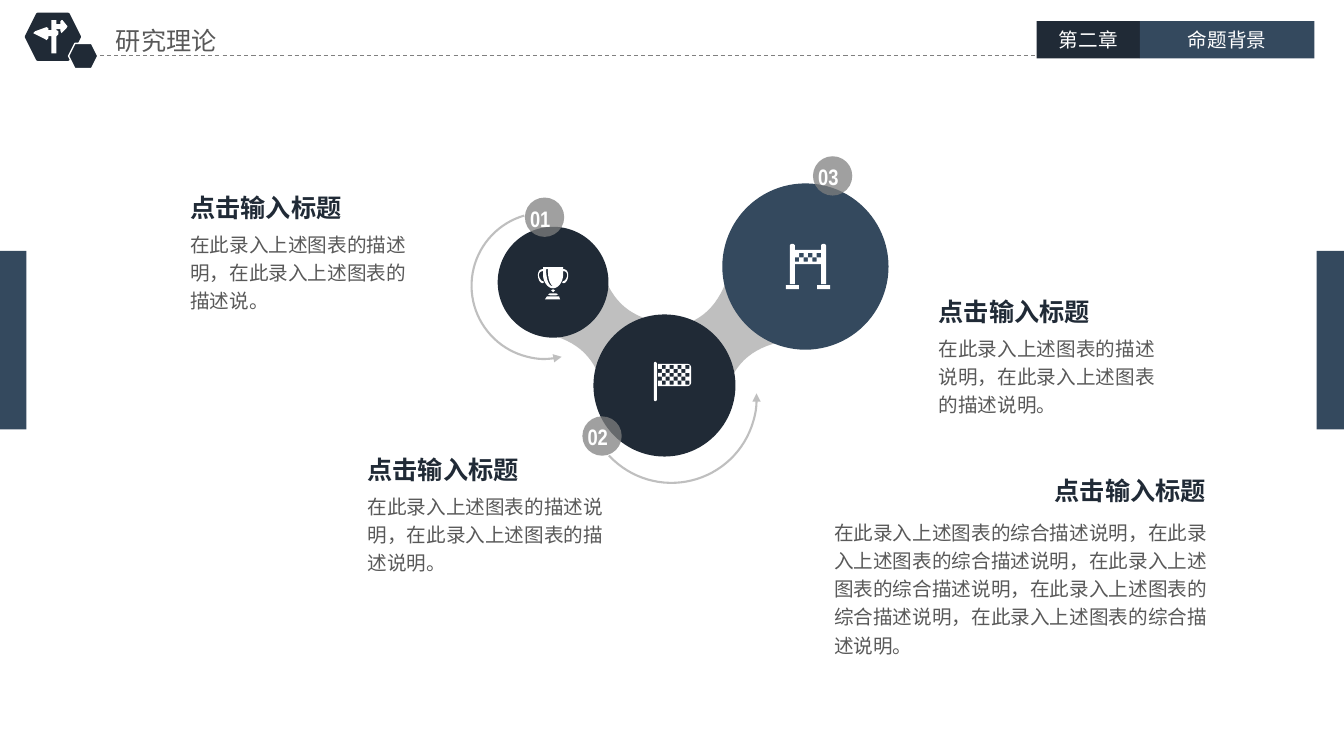
from dataclasses import dataclass

from lxml import etree
from pptx import Presentation
from pptx.dml.color import RGBColor
from pptx.enum.dml import MSO_LINE
from pptx.enum.shapes import MSO_CONNECTOR, MSO_SHAPE
from pptx.enum.text import MSO_ANCHOR, PP_ALIGN
from pptx.oxml.ns import qn
from pptx.util import Pt

RECT, OVAL = MSO_SHAPE.RECTANGLE, MSO_SHAPE.OVAL
HEXAGON, ARC = MSO_SHAPE.HEXAGON, MSO_SHAPE.ARC
STRAIGHT, DASH = MSO_CONNECTOR.STRAIGHT, MSO_LINE.DASH
TOP, MIDDLE = MSO_ANCHOR.TOP, MSO_ANCHOR.MIDDLE
LEFT, CENTER, RIGHT = PP_ALIGN.LEFT, PP_ALIGN.CENTER, PP_ALIGN.RIGHT


@dataclass(frozen=True)
class Theme:
    """Colours, fonts and type sizes."""
    navy: str = "202A36"
    blue: str = "34495E"
    ink: str = "595959"
    rule: str = "808080"
    badge: str = "7F7F7F"
    pale: str = "BFBFBF"
    white: str = "FFFFFF"
    face: str = "Noto Sans CJK SC"
    narrow: str = "Arial Narrow"
    head: int = 18
    num: int = 16
    body: int = 14


def trace(points):
    """Return a contour with each six-number cubic step turned into short lines."""
    out = []
    for step in points:
        if len(step) == 2:
            out.append(step)
            continue
        x, y = out[-1]
        a, b, c, d, e, f = step
        for i in range(1, 17):
            t = i / 16
            u = 1 - t
            k = (u**3, 3 * u * u * t, 3 * u * t * t, t**3)
            out.append((k[0] * x + k[1] * a + k[2] * c + k[3] * e,
                        k[0] * y + k[1] * b + k[2] * d + k[3] * f))
    return out


def box(left, top, right, bottom):
    """Return the corners of a rectangle."""
    return [(left, top), (right, top), (right, bottom), (left, bottom)]


def checks(cols, rows, left, top, size):
    """Return every other cell of a chequered grid."""
    return [box(left + c * size, top + r * size, left + (c + 1) * size, top + (r + 1) * size)
            for r in range(rows) for c in range(cols) if (r + c) % 2]


def mirror(points, width):
    """Return a contour flipped from left to right."""
    return [tuple(width - v if i % 2 == 0 else v for i, v in enumerate(p)) for p in points]


class Board:
    """Draws styled elements on one slide."""

    def __init__(self, slide, theme):
        self.shapes = slide.shapes
        self.theme = theme

    def paint(self, shape, fill, line=None, width=1):
        """Set fill and outline, without shadow."""
        shape.shadow.inherit = False
        if fill:
            shape.fill.solid()
            shape.fill.fore_color.rgb = RGBColor.from_string(fill)
        else:
            shape.fill.background()
        if line:
            shape.line.color.rgb = RGBColor.from_string(line)
            shape.line.width = Pt(width)
        else:
            shape.line.fill.background()
        return shape

    def shape(self, kind, x, y, w, h, fill, line=None, width=1):
        """Add a preset shape."""
        item = self.shapes.add_shape(kind, Pt(x), Pt(y), Pt(w), Pt(h))
        return self.paint(item, fill, line, width)

    def label(self, frame, text, size, color, bold=False, align=LEFT,
              face=None, anchor=TOP, space=None, pad=(7.2, 3.6)):
        """Fill a text frame with one paragraph."""
        face = face or self.theme.face
        frame.word_wrap = True
        frame.vertical_anchor = anchor
        frame.margin_left = frame.margin_right = Pt(pad[0])
        frame.margin_top = frame.margin_bottom = Pt(pad[1])
        para = frame.paragraphs[0]
        para.text = text
        para.alignment = align
        if space:
            para.line_spacing = space
        font = para.font
        font.size, font.bold, font.name = Pt(size), bold, face
        font.color.rgb = RGBColor.from_string(color)
        props = para._p.get_or_add_pPr().find(qn("a:defRPr"))
        etree.SubElement(props, qn("a:ea"), typeface=face)

    def text(self, x, y, w, h, *args, **style):
        """Add a text box."""
        item = self.shapes.add_textbox(Pt(x), Pt(y), Pt(w), Pt(h))
        self.label(item.text_frame, *args, **style)

    def tab(self, x, y, w, h, fill, text):
        """Add a header tab with a label."""
        item = self.shape(RECT, x, y, w, h, fill)
        self.label(item.text_frame, text, self.theme.body, self.theme.white,
                   align=CENTER, anchor=MIDDLE)

    def dash(self, x, y, end):
        """Add a level dashed line."""
        item = self.shapes.add_connector(STRAIGHT, Pt(x), Pt(y), Pt(end), Pt(y))
        item.line.color.rgb = RGBColor.from_string(self.theme.rule)
        item.line.width = Pt(0.75)
        item.line.dash_style = DASH
        etree.SubElement(item._element.spPr, qn("a:effectLst"))

    def draw(self, x, y, unit, fill, outlines):
        """Add a freeform; unit is the length of one grid step."""
        pen = None
        for points in outlines:
            spots = [(Pt(x + a * unit), Pt(y + b * unit)) for a, b in trace(points)]
            if pen is None:
                pen = self.shapes.build_freeform(*spots[0], scale=1.0)
            else:
                pen.move_to(*spots[0])
            pen.add_line_segments(spots[1:], close=True)
        return self.paint(pen.convert_to_shape(), fill)

    def neck(self, x, y, turn):
        """Add the waisted link between two discs, centred on a point."""
        outline = [(-31.3, -28.8), (31.3, -28.8), (16.8, -5.2, 20.6, 12.8, 31.3, 28.8),
                   (-31.3, 28.8), (-20.6, 12.8, -16.8, -5.2, -31.3, -28.8)]
        self.draw(x, y, 1, self.theme.pale, [outline]).rotation = turn

    def sweep(self, x, y, size, turn, start, end):
        """Add an arc with an arrowhead at its start."""
        item = self.shape(ARC, x, y, size, size, None, self.theme.pale, 1.5)
        item.adjustments[0], item.adjustments[1] = start, end
        item.rotation = turn
        line = item._element.spPr.find(qn("a:ln"))
        etree.SubElement(line, qn("a:headEnd"), type="triangle")

    def badge(self, x, y, text):
        """Add a see-through number badge."""
        item = self.shape(OVAL, x, y, 28.1, 28.1, self.theme.badge)
        color = item._element.spPr.find(".//" + qn("a:srgbClr"))
        etree.SubElement(color, qn("a:alpha"), val="74000")
        self.text(x - 3.4, y + 0.7, 35.3, 28.1, text, self.theme.num, self.theme.white,
                  bold=True, face=self.theme.narrow, anchor=MIDDLE)

    def note(self, x, y, w, h, text):
        """Add a heading with its text below."""
        look = self.theme
        self.text(x, y, w, 28.8, "点击输入标题", look.head, look.navy, bold=True)
        self.text(x, y + 25.5, w, h, text, look.body, look.ink, space=1.2)


SIGN = [[(33, 5), (29, 0), (28, 0), (27, 1), (27, 4), (23, 4), (23, 0), (18, 0), (18, 10),
         (15, 10), (15, 8), (13, 7), (2, 11), (0, 13), (2, 14), (12, 19), (13, 20),
         (15, 18), (15, 16), (18, 16), (18, 33), (23, 33), (23, 16), (25, 14), (25, 11),
         (23, 10), (23, 9), (27, 9), (27, 11), (28, 13), (29, 12), (33, 8), (34, 6)]]
HANDLE = [(25, 16), (24, 15), (25, 14), (27, 14, 29, 10, 29, 8), (29, 5, 27, 4, 25, 4),
          (25, 2), (28, 2, 30, 4, 30, 8), (30, 12, 28, 16, 25, 16)]
CUP = [[(5, 0), (25, 0), (25, 7), (25, 15, 20, 21, 15, 21), (10, 21, 5, 15, 5, 7)],
       [(10, 2), (8, 2), (8, 2, 8, 19, 15, 19), (9, 15, 10, 2, 10, 2)],
       HANDLE, mirror(HANDLE, 30),
       [(13, 23), (15, 22), (17, 23), (15, 25)],
       [(10, 27), (12, 26), (18, 26), (20, 27), (18, 28), (12, 28)],
       [(9, 29), (21, 29), (22, 32), (7, 32)]]
FLAG = [[(0, 2), (0, -0.67, 3, -0.67, 3, 2), (3, 37), (3, 39.67, 0, 39.67, 0, 37)],
        [(4, 2), (33, 2), (35.5, 2, 37, 3.5, 37, 6), (37, 20),
         (37, 22.5, 35.5, 24, 33, 24), (4, 24)], *checks(8, 5, 4, 3, 3.9)]
GATE = [[(4, 40), (4, 2), (4, -0.67, 9, -0.67, 9, 2), (9, 6), (35, 6), (35, 2),
         (35, -0.67, 40, -0.67, 40, 2), (40, 40), (35, 40), (35, 20), (9, 20), (9, 40)],
        box(0, 41, 13, 45), box(31, 41, 44, 45), *checks(6, 2, 9, 9, 4.33)]


def main():
    """Build the slide and save it."""
    deck = Presentation()
    deck.slide_width, deck.slide_height = Pt(960.5), Pt(540)
    look = Theme()
    board = Board(deck.slides.add_slide(deck.slide_layouts[6]), look)

    board.text(77.8, 15.1, 147.6, 27.4, "研究理论", look.head, look.ink, pad=(5, 2.9))
    board.shape(HEXAGON, 18.7, 10.1, 38.2, 32.4, look.navy, look.navy, 2)
    board.dash(66.2, 39.6, 740.9)
    board.tab(740.9, 15.1, 73.8, 26.6, look.navy, "第二章")
    board.tab(814.7, 15.1, 124.6, 26.6, look.blue, "命题背景")
    board.shape(HEXAGON, 49, 31, 20.9, 18, look.navy, look.white, 1)
    for x in (-2, 941):
        board.shape(RECT, x, 179.3, 20.9, 127.4, look.blue)
    board.draw(23.8, 14.4, 0.72, look.white, SIGN)

    board.neck(519.5, 239, 48.7)
    board.neck(430.2, 234, 312)
    for x, y, size, fill, left, top, icon in (
            (355.7, 162, 79.2, look.navy, 384.5, 190.8, CUP),
            (424.1, 224.6, 101.5, look.navy, 467.3, 258.5, FLAG),
            (516.2, 131, 118.8, look.blue, 561.6, 174.2, GATE)):
        board.shape(OVAL, x, y, size, size, fill)
        board.draw(left, top, 0.72, look.white, icon)
    board.sweep(337, 151.9, 104.4, 253.9, 109.56, 0)
    board.sweep(419, 223.2, 121.7, 136.3, 132.45, 0.57)
    for x, y, text in ((375.1, 141.1, "01"), (416.2, 297.4, "02"), (581, 111.6, "03")):
        board.badge(x, y, text)

    brief = "在此录入上述图表的描述说明，在此录入上述图表的描述说明。"
    board.note(128.9, 133.9, 181.4, 68.4, "在此录入上述图表的描述明，在此录入上述图表的描述说。")
    board.note(255.6, 321.1, 185, 68.4, brief)
    board.note(663.8, 208.1, 179.3, 68.4, brief)
    board.text(627.1, 335.5, 244.1, 31, "点击输入标题", look.head, look.navy,
               bold=True, align=RIGHT, pad=(9.4, 4.3))
    board.text(589, 365, 288, 108.7, "，".join(["在此录入上述图表的综合描述说明"] * 5) + "。",
               look.body, look.ink, space=1.2)
    deck.save("out.pptx")


if __name__ == "__main__":
    main()
